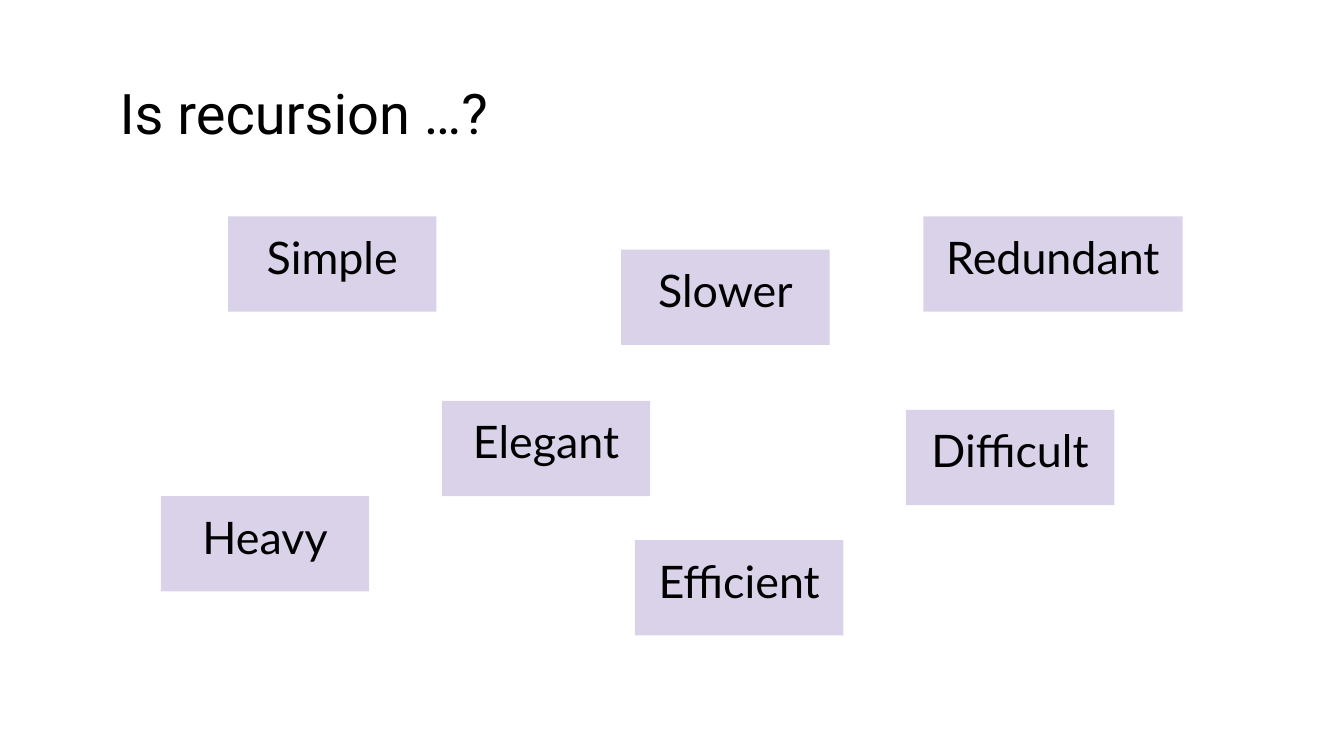
from pptx import Presentation
from pptx.dml.color import RGBColor
from pptx.enum import shapes, text
from pptx.util import Cm, Pt

BLACK = RGBColor(0, 0, 0)
LILAC = RGBColor(0xD9, 0xD2, 0xE9)

TITLE = "Is recursion …?"
WIDTH, WIDE, HEIGHT = 3.94, 4.9, 1.8
INSET = 0.25
WORDS = [
    ("Simple", 4.31, 4.09, WIDTH),
    ("Elegant", 8.35, 7.58, WIDTH),
    ("Difficult", 17.12, 7.75, WIDTH),
    ("Efficient", 12.0, 10.21, WIDTH),
    ("Redundant", 17.45, 4.09, WIDE),
    ("Slower", 11.74, 4.72, WIDTH),
    ("Heavy", 3.04, 9.38, WIDTH),
]


def write(sp, words, font, size, align):
    tf = sp.text_frame
    tf.word_wrap = True
    tf.vertical_anchor = text.MSO_ANCHOR.TOP
    tf.margin_left = tf.margin_right = Cm(INSET)
    tf.margin_top = tf.margin_bottom = Cm(INSET)
    p = tf.paragraphs[0]
    p.text = words
    p.alignment = align
    p.font.name = font
    p.font.size = Pt(size)
    p.font.color.rgb = BLACK


prs = Presentation()
prs.slide_width, prs.slide_height = Cm(25.4), Cm(14.29)
s = prs.slides.add_slide(prs.slide_layouts[6])

title = s.shapes.add_textbox(Cm(2.01), Cm(1.24), Cm(21.41), Cm(1.6))
write(title, TITLE, "Roboto", 30, text.PP_ALIGN.LEFT)

for word, left, top, width in WORDS:
    sp = s.shapes.add_shape(
        shapes.MSO_SHAPE.RECTANGLE, Cm(left), Cm(top), Cm(width), Cm(HEIGHT)
    )
    sp.shadow.inherit = False
    sp.fill.solid()
    sp.fill.fore_color.rgb = LILAC
    sp.line.fill.background()
    write(sp, word, "Lato", 24, text.PP_ALIGN.CENTER)

prs.save("out.pptx")
